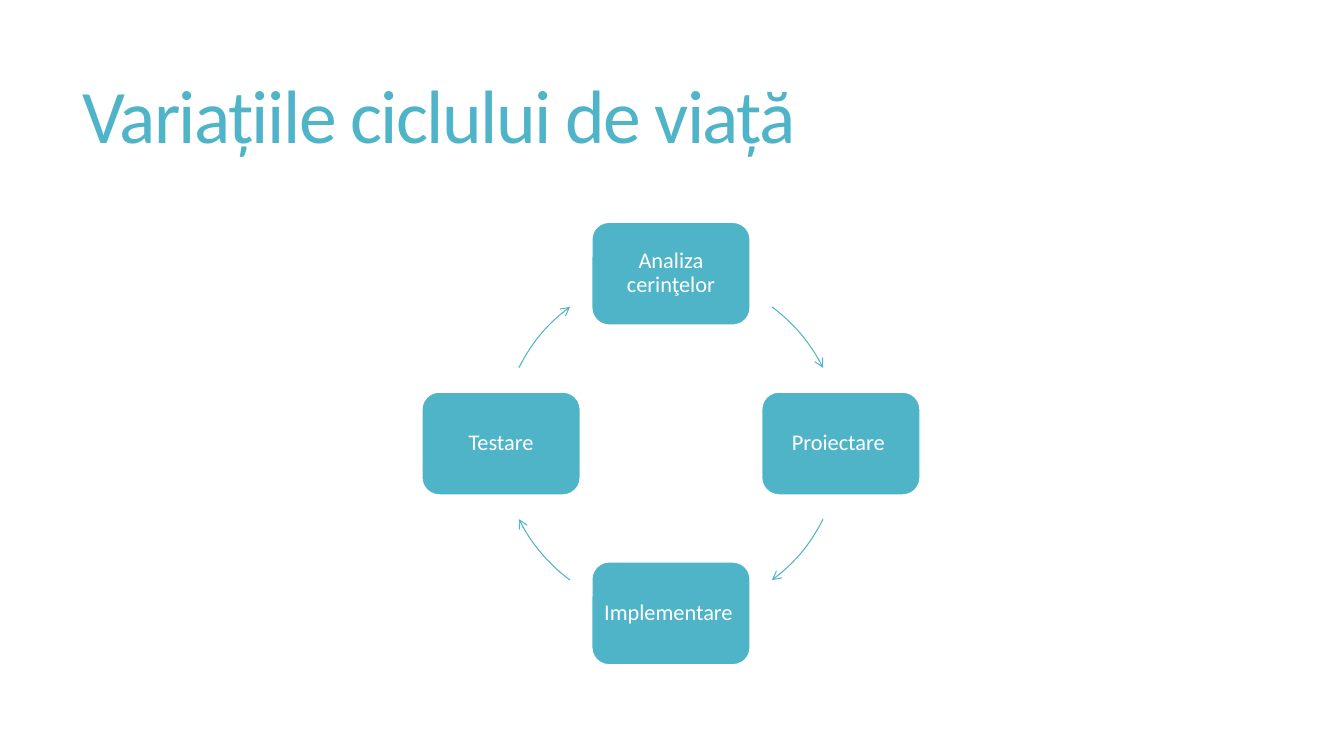
from math import cos, radians, sin

from lxml.etree import SubElement
from pptx import Presentation
from pptx.dml.color import RGBColor
from pptx.enum.shapes import MSO_SHAPE as SHAPE
from pptx.enum.text import MSO_ANCHOR as ANCHOR, PP_ALIGN as ALIGN
from pptx.oxml.ns import qn
from pptx.util import Inches, Pt

COLORS = {"teal": "50B4C8", "white": "FFFFFF"}
FONT = "Calibri"
WIDTH, HEIGHT = 13.33, 7.5
CENTER_X, CENTER_Y, RADIUS = WIDTH / 2 - 0.01, 4.4, 1.685
BOX_W, BOX_H = 1.57, 1.02
ARROW_HALF_SPAN = 13.55
# Clockwise steps: label, angle of its box, middle angle of the arrow after it
STEPS = [
    ("Analiza cerinţelor", 270, 320),
    ("Proiectare ", 0, 40),
    ("Implementare ", 90, 140),
    ("Testare", 180, 220),
]


def rgb(name):
    return RGBColor.from_string(COLORS[name])


def write(tf, text, size, color, align, line_spacing):
    tf.word_wrap = True
    tf.vertical_anchor = ANCHOR.MIDDLE
    p = tf.paragraphs[0]
    p.alignment = align
    p.line_spacing = line_spacing
    r = p.add_run()
    r.text = text
    r.font.size = Pt(size)
    r.font.name = FONT
    r.font.color.rgb = rgb(color)
    return r


def add_title(s, text):
    box = s.shapes.add_textbox(Inches(0.72), Inches(0.55), Inches(11.78), Inches(1.29))
    r = write(box.text_frame, text, 54, "teal", ALIGN.LEFT, 0.85)
    r.font._element.set("spc", "-120")


def add_step(s, text, angle):
    """Place a rounded box centred on the circle at the given angle."""
    x = CENTER_X + RADIUS * cos(radians(angle)) - BOX_W / 2
    y = CENTER_Y + RADIUS * sin(radians(angle)) - BOX_H / 2
    sp = s.shapes.add_shape(SHAPE.ROUNDED_RECTANGLE, Inches(x), Inches(y),
                            Inches(BOX_W), Inches(BOX_H))
    sp.shadow.inherit = False
    sp.fill.solid()
    sp.fill.fore_color.rgb = rgb("teal")
    sp.line.color.rgb = rgb("white")
    sp.line.width = Pt(1)
    tf = sp.text_frame
    tf.margin_left = tf.margin_right = Inches(0.07)
    tf.margin_top = tf.margin_bottom = Inches(0.07)
    write(tf, text, 16, "white", ALIGN.CENTER, 0.9)


def add_arc_arrow(s, middle):
    """Draw a clockwise arrow on the circle around the given middle angle."""
    sp = s.shapes.add_shape(SHAPE.ARC, Inches(CENTER_X - RADIUS), Inches(CENTER_Y - RADIUS),
                            Inches(2 * RADIUS), Inches(2 * RADIUS))
    # One degree is 60000 angle units, and an adjustment of 1.0 is 100000
    sp.adjustments[0] = (middle - ARROW_HALF_SPAN) * 0.6
    sp.adjustments[1] = (middle + ARROW_HALF_SPAN) * 0.6
    sp.shadow.inherit = False
    sp.fill.background()
    sp.line.color.rgb = rgb("teal")
    sp.line.width = Pt(0.75)
    SubElement(sp.line._get_or_add_ln(), qn("a:tailEnd"), type="arrow")


def main():
    prs = Presentation()
    prs.slide_width, prs.slide_height = Inches(WIDTH), Inches(HEIGHT)
    s = prs.slides.add_slide(prs.slide_layouts[6])
    add_title(s, "Variațiile ciclului de viață")
    for label, box_angle, arrow_angle in STEPS:
        add_step(s, label, box_angle)
        add_arc_arrow(s, arrow_angle)
    prs.save("out.pptx")


if __name__ == "__main__":
    main()
